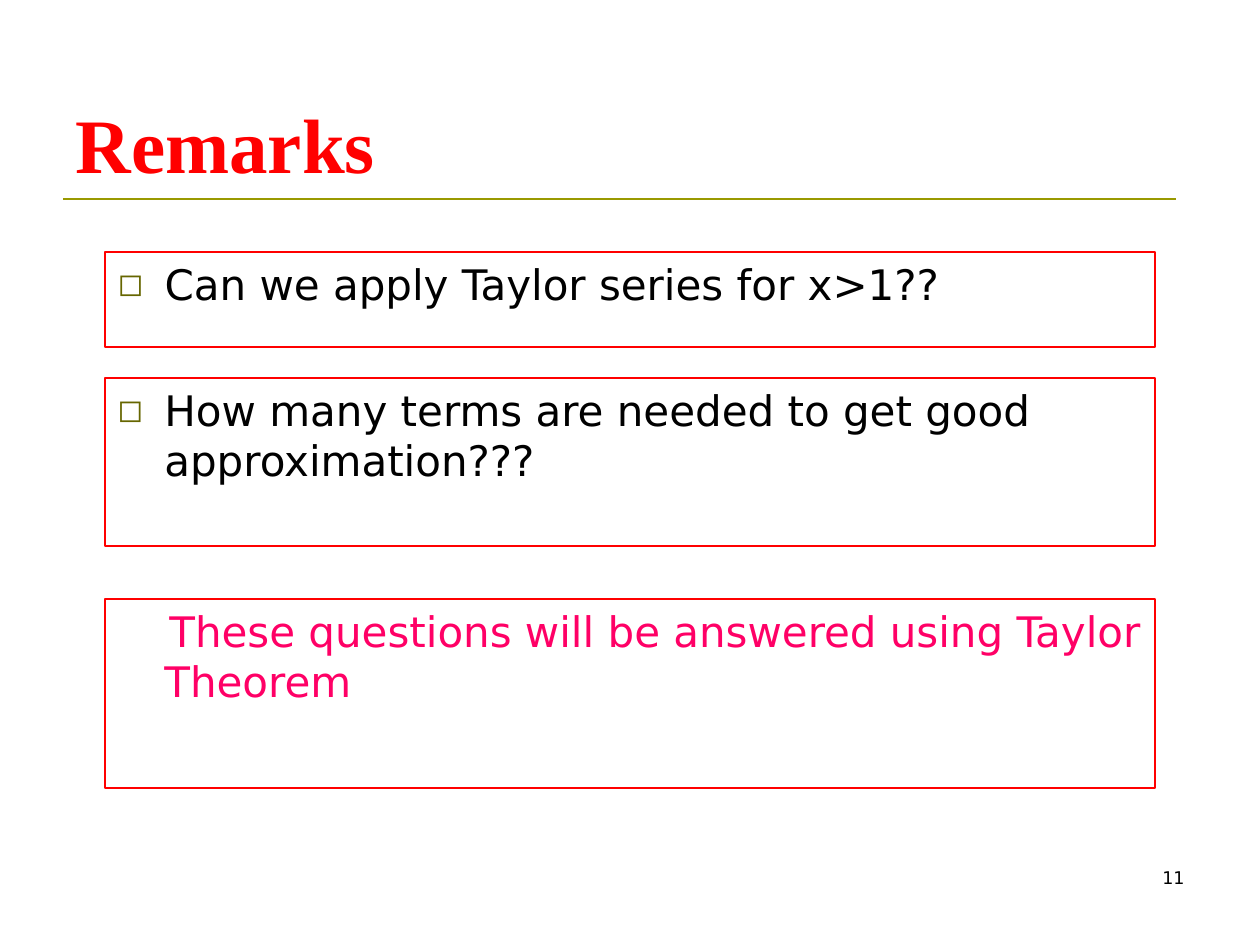
from dataclasses import dataclass

from lxml import etree
from pptx import Presentation
from pptx import util as u
from pptx.dml.color import RGBColor
from pptx.enum import shapes, text
from pptx.oxml.ns import qn

PX_PER_INCH = 126


@dataclass(frozen=True)
class Theme:
    heading_font: str = "Times New Roman"
    body_font: str = "DejaVu Sans"
    red: str = "FF0000"
    pink: str = "FF0066"
    black: str = "000000"
    olive: str = "999900"
    bullet: str = "666600"
    title_size: int = 44
    body_size: int = 24
    number_size: int = 10
    rule_width: float = 1.5
    border_width: float = 0.75


def px(n):
    return u.Emu(round(n * u.Inches(1) / PX_PER_INCH))


def rgb(value):
    return RGBColor.from_string(value)


def add_bullet(p, char, color, font):
    pPr = p._p.get_or_add_pPr()
    clr = etree.SubElement(pPr, qn("a:buClr"))
    etree.SubElement(clr, qn("a:srgbClr"), val=color)
    etree.SubElement(pPr, qn("a:buSzPct"), val="75000")
    etree.SubElement(pPr, qn("a:buFont"), typeface=font)
    etree.SubElement(pPr, qn("a:buChar"), char=char)


def write(sp, content, *, font, size, color, bold=False, align=text.PP_ALIGN.LEFT,
          anchor=text.MSO_ANCHOR.TOP, margin=0, indent=0, bullet=None):
    tf = sp.text_frame
    tf.word_wrap = True
    tf.auto_size = text.MSO_AUTO_SIZE.NONE
    tf.vertical_anchor = anchor
    p = tf.paragraphs[0]
    pPr = p._p.get_or_add_pPr()
    pPr.set("marL", str(px(margin)))
    pPr.set("indent", str(px(indent)))
    if bullet:
        add_bullet(p, "◻", bullet, font)
    p.alignment = align
    p.space_before = u.Pt(0)
    r = p.add_run()
    r.text = content
    r.font.name = font
    r.font.size = u.Pt(size)
    r.font.bold = bold
    r.font.color.rgb = rgb(color)


class SlideBuilder:
    def __init__(self, slide, theme):
        self.s = slide
        self.theme = theme

    def place(self, sp, left, top, width, height):
        sp.left, sp.top, sp.width, sp.height = map(px, (left, top, width, height))

    def rule(self, left, right, y):
        line = self.s.shapes.add_connector(
            shapes.MSO_CONNECTOR.STRAIGHT, px(left), px(y), px(right), px(y))
        line.line.color.rgb = rgb(self.theme.olive)
        line.line.width = u.Pt(self.theme.rule_width)
        etree.SubElement(line._element.spPr, qn("a:effectLst"))

    def title(self, content, *box):
        t = self.theme
        sp = self.s.shapes.title
        self.place(sp, *box)
        write(sp, content, font=t.heading_font, size=t.title_size, color=t.red,
              bold=True, anchor=text.MSO_ANCHOR.BOTTOM)

    def framed(self, content, *box, sp=None, **fmt):
        t = self.theme
        if sp is None:
            sp = self.s.shapes.add_shape(shapes.MSO_SHAPE.RECTANGLE, *map(px, box))
            sp.shadow.inherit = False
        self.place(sp, *box)
        sp.fill.background()
        sp.line.color.rgb = rgb(t.red)
        sp.line.width = u.Pt(t.border_width)
        write(sp, content, font=t.body_font, size=t.body_size, margin=47, **fmt)

    def question(self, content, *box, sp=None):
        self.framed(content, *box, sp=sp, color=self.theme.black, indent=-47,
                    bullet=self.theme.bullet)

    def answer(self, content, *box):
        self.framed(content, *box, color=self.theme.pink, indent=5)

    def number(self, content, *box):
        t = self.theme
        sp = self.s.shapes.add_textbox(*map(px, box))
        write(sp, content, font=t.body_font, size=t.number_size, color=t.black,
              align=text.PP_ALIGN.RIGHT)


def main():
    prs = Presentation()
    prs.slide_width, prs.slide_height = u.Inches(10), u.Inches(7.5)
    s = prs.slides.add_slide(prs.slide_layouts[1])
    b = SlideBuilder(s, Theme())

    # Heading
    b.rule(63, 1176, 199)
    b.title("Remarks", 63, 38, 1134, 157)

    # Questions and answer
    left, width = 105, 1050
    b.question("Can we apply Taylor series for x>1??", left, 252, width, 95,
               sp=s.placeholders[1])
    b.question("How many terms are needed to get good approximation???",
               left, 378, width, 168)
    b.answer("These questions will be answered using Taylor Theorem",
             left, 599, width, 189)

    # Slide number
    b.number("11", 903, 861, 294, 63)

    prs.save("out.pptx")


if __name__ == "__main__":
    main()
